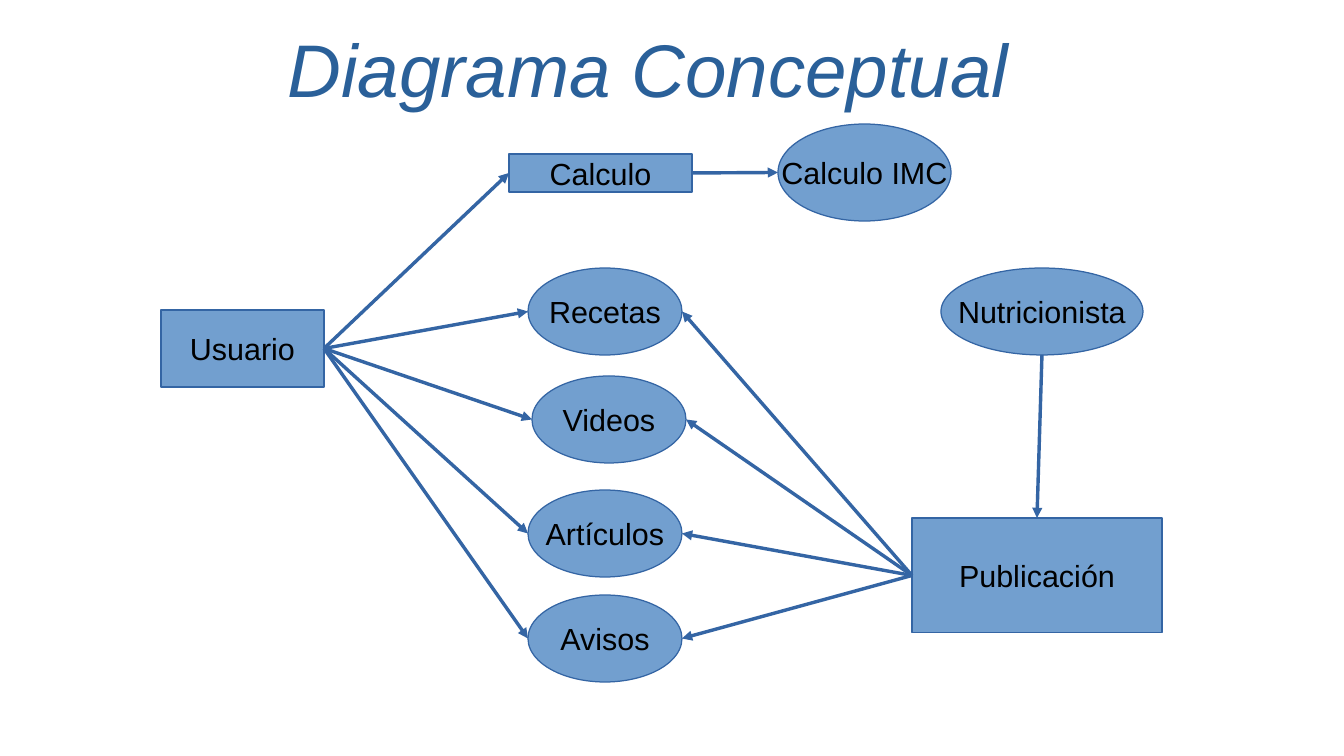
from lxml import etree
from pptx import Presentation
from pptx.dml.color import RGBColor
from pptx.enum.shapes import MSO_CONNECTOR, MSO_SHAPE
from pptx.enum.text import MSO_ANCHOR, PP_ALIGN
from pptx.oxml.ns import qn
from pptx.util import Pt

RECT, OVAL = MSO_SHAPE.RECTANGLE, MSO_SHAPE.OVAL
STRAIGHT = MSO_CONNECTOR.STRAIGHT
MIDDLE, CENTER = MSO_ANCHOR.MIDDLE, PP_ALIGN.CENTER
TOP, LEFT, BOTTOM, RIGHT = range(4)
PX = 7495
COLORS = {"title": "2A6099", "fill": "729FCF", "line": "3465A4", "text": "000000"}


def write(shape, text, color, wrap, font_format):
    frame = shape.text_frame
    frame.word_wrap = wrap
    frame.vertical_anchor = MIDDLE
    paragraph = frame.paragraphs[0]
    paragraph.alignment = CENTER
    run = paragraph.add_run()
    run.text = text
    run.font.color.rgb = RGBColor.from_string(COLORS[color])
    for attribute, value in font_format.items():
        setattr(run.font, attribute, value)


def side_point(shape, side):
    center_x = shape.left + shape.width // 2
    center_y = shape.top + shape.height // 2
    return {
        TOP: (center_x, shape.top),
        LEFT: (shape.left, center_y),
        BOTTOM: (center_x, shape.top + shape.height),
        RIGHT: (shape.left + shape.width, center_y),
    }[side]


prs = Presentation()
prs.slide_width = 1344 * PX
prs.slide_height = 756 * PX
slide = prs.slides.add_slide(prs.slide_layouts[6])
shapes = slide.shapes

title = shapes.add_textbox(67 * PX, 26 * PX, 1163 * PX, 83 * PX)
for margin in ("margin_left", "margin_top", "margin_right", "margin_bottom"):
    setattr(title.text_frame, margin, 0)
write(title, "Diagrama Conceptual", "title", True,
      {"name": "Arial", "size": Pt(44), "italic": True})

concepts = [
    ("Usuario", RECT, 161, 310, 163, 77),
    ("Calculo", RECT, 509, 154, 183, 38),
    ("Calculo IMC", OVAL, 778, 124, 173, 97),
    ("Recetas", OVAL, 528, 268, 154, 87),
    ("Videos", OVAL, 532, 376, 154, 87),
    ("Artículos", OVAL, 528, 490, 154, 87),
    ("Avisos", OVAL, 528, 595, 154, 87),
    ("Nutricionista", OVAL, 941, 268, 202, 87),
    ("Publicación", RECT, 912, 518, 250, 115),
]
nodes = {}
for label, outline, left, top, width, height in concepts:
    node = shapes.add_shape(outline, left * PX, top * PX, width * PX, height * PX)
    node.shadow.inherit = False
    node.fill.solid()
    node.fill.fore_color.rgb = RGBColor.from_string(COLORS["fill"])
    node.line.color.rgb = RGBColor.from_string(COLORS["line"])
    node.line.width = Pt(0)
    write(node, label, "text", False, {"name": "Arial", "size": Pt(18)})
    nodes[label] = node

contents = ["Recetas", "Videos", "Artículos", "Avisos"]
relations = [("Usuario", RIGHT, target, LEFT) for target in ["Calculo"] + contents]
relations += [("Publicación", LEFT, target, RIGHT) for target in contents]
relations += [
    ("Calculo", RIGHT, "Calculo IMC", LEFT),
    ("Nutricionista", BOTTOM, "Publicación", TOP),
]
for source, source_side, target, target_side in relations:
    start, end = nodes[source], nodes[target]
    arrow = shapes.add_connector(
        STRAIGHT, *side_point(start, source_side), *side_point(end, target_side))
    if start.auto_shape_type == RECT:
        arrow.begin_connect(start, source_side)
    if end.auto_shape_type == RECT:
        arrow.end_connect(end, target_side)
    arrow.line.color.rgb = RGBColor.from_string(COLORS["line"])
    arrow.line.width = Pt(0)
    properties = arrow._element.spPr
    etree.SubElement(properties.find(qn("a:ln")), qn("a:tailEnd"), type="triangle")
    etree.SubElement(properties, qn("a:effectLst"))

prs.save("out.pptx")
